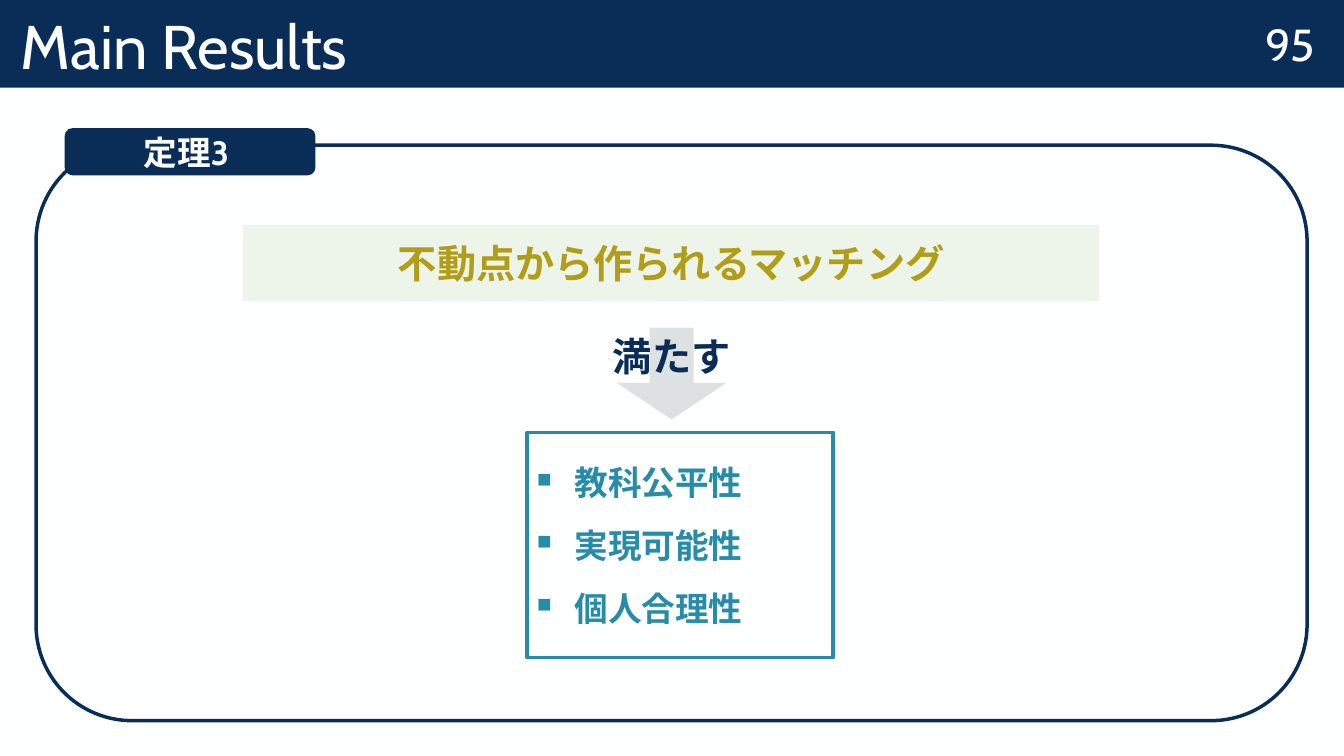
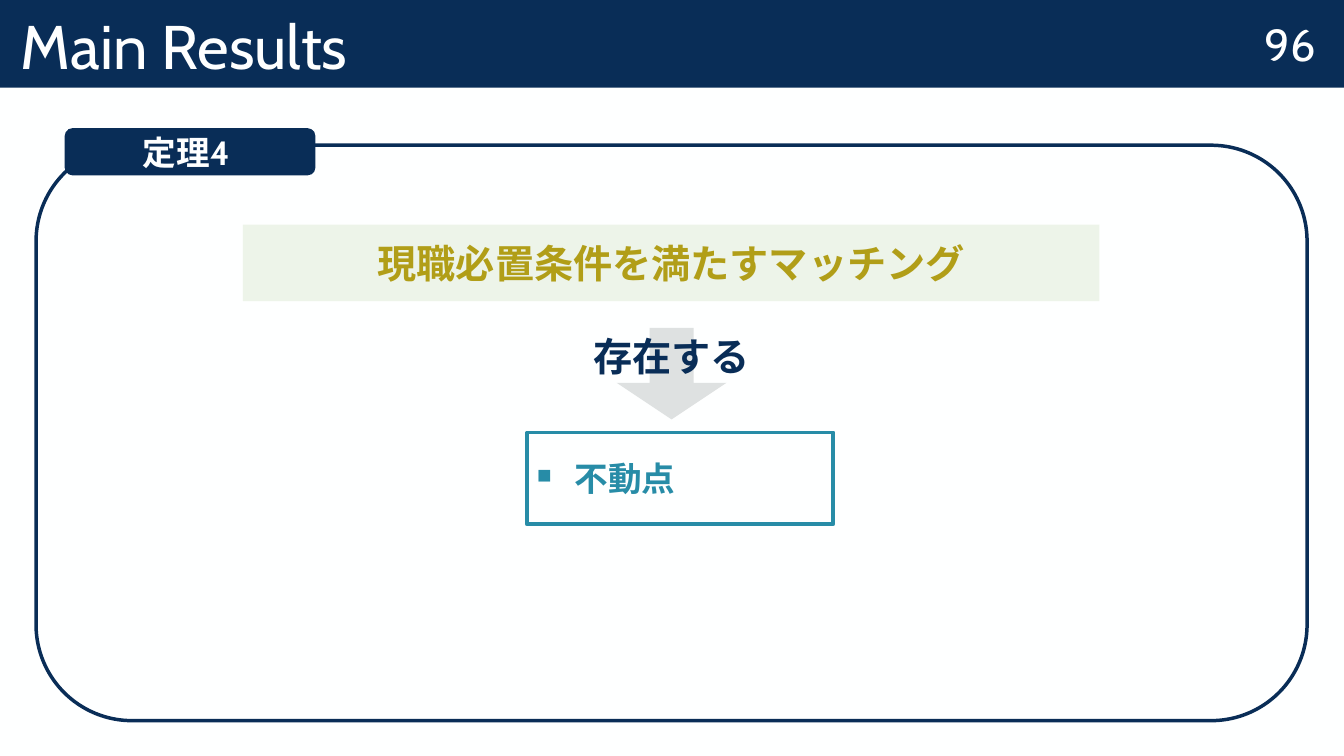
from dataclasses import dataclass

import pptx
import pptx.dml.color
import pptx.enum.lang
import pptx.enum.shapes
import pptx.enum.text
import pptx.oxml.ns
import pptx.util
from lxml import etree

Cm = pptx.util.Cm
Pt = pptx.util.Pt
Shape = pptx.enum.shapes.MSO_SHAPE
Align = pptx.enum.text.PP_ALIGN
Anchor = pptx.enum.text.MSO_ANCHOR
qn = pptx.oxml.ns.qn


@dataclass(frozen=True)
class Theme:
    font: str = "Cabin"
    paper: str = "FEFFFF"
    navy: str = "092D57"
    teal: str = "278CA7"
    gold: str = "B19E18"
    green: str = "689E38"
    grey: str = "DEE1E1"
    title_size: int = 44
    number_size: int = 32
    claim_size: int = 28
    body_size: int = 24


def rgb(color):
    return pptx.dml.color.RGBColor.from_string(color)


class TheoremDeck:
    WIDTH, HEIGHT = 33.87, 19.05

    def __init__(self, theme):
        self.theme = theme
        self.presentation = pptx.Presentation()
        self.presentation.slide_width = Cm(self.WIDTH)
        self.presentation.slide_height = Cm(self.HEIGHT)
        self.slide = None

    def new_slide(self):
        self.slide = self.presentation.slides.add_slide(self.presentation.slide_layouts[6])
        background = self.slide.background.fill
        background.solid()
        background.fore_color.rgb = rgb(self.theme.paper)

    def panel(self, kind, box, fill=None, line=None, line_width=0.0):
        """Draw a preset shape; box is left, top, width, height in cm."""
        panel = self.slide.shapes.add_shape(kind, *map(Cm, box))
        panel.shadow.inherit = False
        if fill:
            panel.fill.solid()
            panel.fill.fore_color.rgb = rgb(fill)
        else:
            panel.fill.background()
        if line:
            panel.line.color.rgb = rgb(line)
            panel.line.width = Pt(line_width)
        else:
            panel.line.fill.background()
        return panel

    def set_text(self, holder, lines, size, color, bold=True, align=Align.CENTER,
                 anchor=Anchor.MIDDLE, before=0):
        frame = holder.text_frame
        frame.word_wrap = True
        frame.vertical_anchor = anchor
        frame.text = "\n".join(lines)
        for paragraph in frame.paragraphs:
            paragraph.alignment = align
            paragraph.space_before = Pt(before)
            font = paragraph.font
            font.name, font.size, font.bold = self.theme.font, Pt(size), bold
            font.color.rgb = rgb(color)
            font.language_id = pptx.enum.lang.MSO_LANGUAGE_ID.JAPANESE
        return frame.paragraphs

    def text(self, box, line, size, color, **style):
        holder = self.slide.shapes.add_textbox(*map(Cm, box))
        self.set_text(holder, [line], size, color, **style)

    def header(self, title, number):
        theme = self.theme
        band = self.panel(Shape.RECTANGLE, (0, 0, self.WIDTH, 2.21), theme.navy)
        heading, = self.set_text(band, [title], theme.title_size, theme.paper, bold=False,
                                 align=Align.LEFT, anchor=Anchor.BOTTOM)
        heading.line_spacing = 0.9
        heading._p.get_or_add_pPr().set("indent", str(Cm(0.28)))
        self.text((31.19, 0, 2.64, 2.18), str(number), theme.number_size, theme.paper, bold=False)

    def theorem_frame(self, name):
        theme = self.theme
        self.panel(Shape.ROUNDED_RECTANGLE, (0.91, 3.66, 32.03, 14.5), None, theme.navy, 2.5)
        tab = self.panel(Shape.ROUNDED_RECTANGLE, (1.63, 3.23, 6.32, 1.19), theme.navy)
        self.set_text(tab, [name], theme.body_size, theme.paper)

    def claim(self, statement):
        theme = self.theme
        strip = self.panel(Shape.RECTANGLE, (6.12, 5.66, 21.59, 1.93), theme.green)
        tint = strip._element.spPr.find(qn("a:solidFill"))[0]
        etree.SubElement(tint, qn("a:alpha"), val="11000")
        self.set_text(strip, [statement], theme.claim_size, theme.gold, before=6)

    def implication(self, verb):
        theme = self.theme
        arrow = self.panel(Shape.DOWN_ARROW, (15.54, 8.26, 2.77, 2.31), theme.grey)
        arrow.adjustments[0], arrow.adjustments[1] = 0.4, 0.4
        self.text((12.85, 8.26, 8.15, 1.45), verb, theme.claim_size, theme.navy,
                  anchor=Anchor.TOP)

    def conclusions(self, items):
        theme = self.theme
        height = 2.31 + 1.68 * (len(items) - 1)
        card = self.panel(Shape.RECTANGLE, (13.28, 10.9, 7.72, height), None, theme.teal, 2.75)
        for paragraph in self.set_text(card, items, theme.body_size, theme.teal,
                                       align=Align.LEFT, before=16):
            self.bullet(paragraph)

    def bullet(self, paragraph):
        properties = paragraph._p.get_or_add_pPr()
        properties.set("marL", str(Cm(0.95)))
        properties.set("indent", str(-Cm(0.95)))
        size = etree.Element(qn("a:buSzPct"), val="60000")
        mark = etree.Element(qn("a:buChar"), char="■")
        defaults = properties.find(qn("a:defRPr"))
        defaults.addprevious(size)
        defaults.addprevious(mark)

    def theorem_slide(self, number, name, statement, verb, items):
        self.new_slide()
        self.claim(statement)
        self.header("Main Results", number)
        self.theorem_frame(name)
        self.conclusions(items)
        self.implication(verb)


def main():
    deck = TheoremDeck(Theme())
    deck.theorem_slide(95, "定理3 ", "不動点から作られるマッチング", "満たす",
                       ["教科公平性", "実現可能性", "個人合理性"])
    deck.theorem_slide(96, "定理4 ", "現職必置条件を満たすマッチング", "存在する", ["不動点"])
    deck.presentation.save("out.pptx")


if __name__ == "__main__":
    main()
